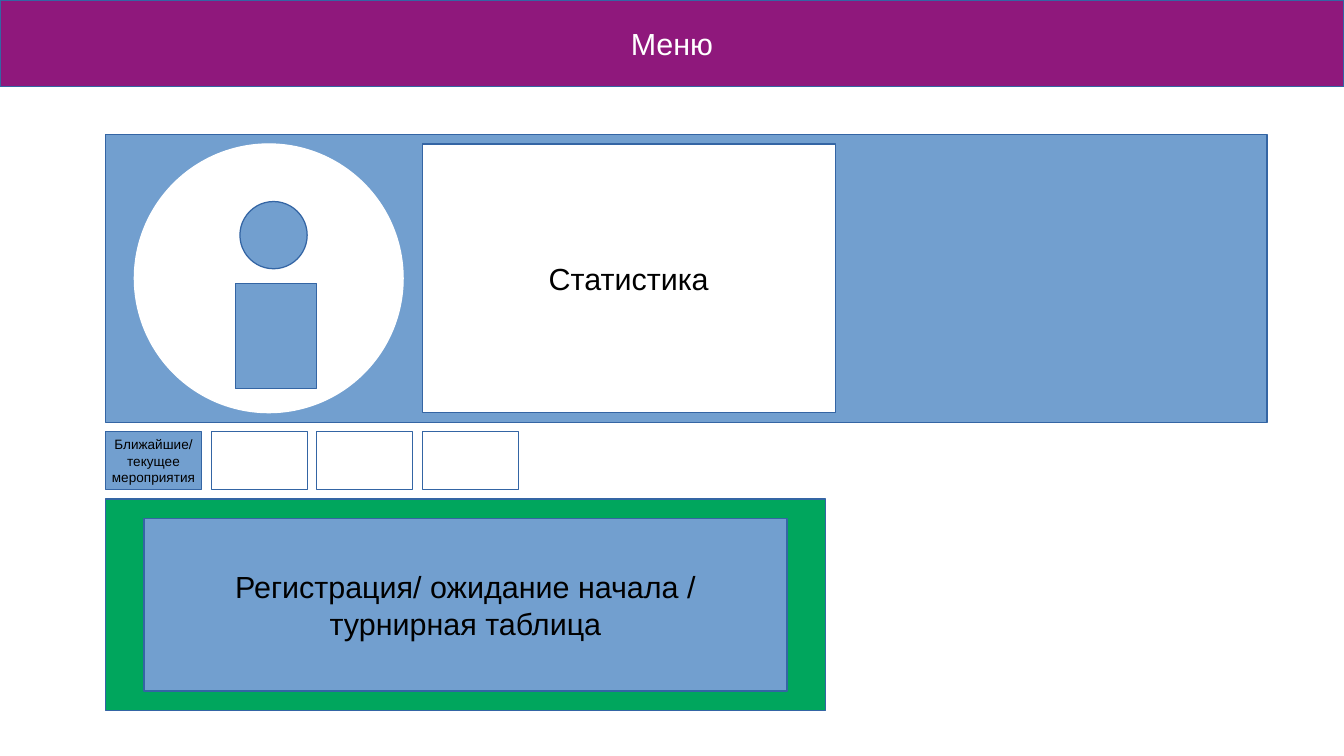
from pptx import Presentation
from pptx import util as u
from pptx.dml.color import RGBColor
from pptx.enum import shapes, text

WIDTH, HEIGHT = u.Inches(11.02), u.Inches(6.2)
COLS = 140
UNIT = WIDTH / COLS
LEFT = 11
STEP = 11
RECT = shapes.MSO_SHAPE.RECTANGLE
OVAL = shapes.MSO_SHAPE.OVAL
HUES = {
    "menu": "8F187C",
    "blue": "729FCF",
    "edge": "3465A4",
    "green": "00A65D",
    "white": "FFFFFF",
    "black": "000000",
}


def tint(name):
    return RGBColor.from_string(HUES[name])


def grid(*cells):
    return [round(cell * UNIT) for cell in cells]


def paint(shape, fill, edge="edge"):
    shape.fill.solid()
    shape.fill.fore_color.rgb = tint(fill)
    shape.line.color.rgb = tint(edge)
    shape.line.width = u.Pt(0)


def write(shape, words, size=18, hue="black"):
    frame = shape.text_frame
    frame.text = words
    frame.word_wrap = False
    frame.auto_size = text.MSO_AUTO_SIZE.NONE
    frame.vertical_anchor = text.MSO_ANCHOR.MIDDLE
    for line in frame.paragraphs:
        line.alignment = text.PP_ALIGN.CENTER
        line.font.name = "Arial"
        line.font.size = u.Pt(size)
        line.font.color.rgb = tint(hue)


def block(slide, cells, fill, kind=RECT, edge="edge"):
    shape = slide.shapes.add_shape(kind, *grid(*cells))
    shape.shadow.inherit = False
    paint(shape, fill, edge)
    return shape


def header(slide):
    title = slide.shapes.title
    title.left, title.top, title.width, title.height = grid(0, 0, COLS, 9)
    paint(title, "menu")
    write(title, "Меню", hue="white")


def profile(slide):
    block(slide, (LEFT, 14, 121, 30), "blue")
    block(slide, (14, 15, 28, 28), "white", OVAL, "white")
    block(slide, (25, 21, 7, 7), "blue", OVAL)
    block(slide, (24.5, 29.5, 8.5, 11), "blue")
    stats = block(slide, (44, 15, 43, 28), "white")
    write(stats, "Статистика")


def tabs(slide, count):
    for i in range(count):
        tab = block(slide, (LEFT + i * STEP, 45, 10, 6), "white" if i else "blue")
        if i == 0:
            write(tab, "Ближайшие/\nтекущее\nмероприятия", size=8)


def event(slide):
    block(slide, (LEFT, 52, 75, 22), "green")
    panel = block(slide, (15, 54, 67, 18), "blue")
    write(panel, "Регистрация/ ожидание начала /\nтурнирная таблица")


def main():
    deck = Presentation()
    deck.slide_width, deck.slide_height = WIDTH, HEIGHT
    slide = deck.slides.add_slide(deck.slide_layouts[5])
    header(slide)
    profile(slide)
    tabs(slide, 4)
    event(slide)
    deck.save("out.pptx")


if __name__ == "__main__":
    main()
